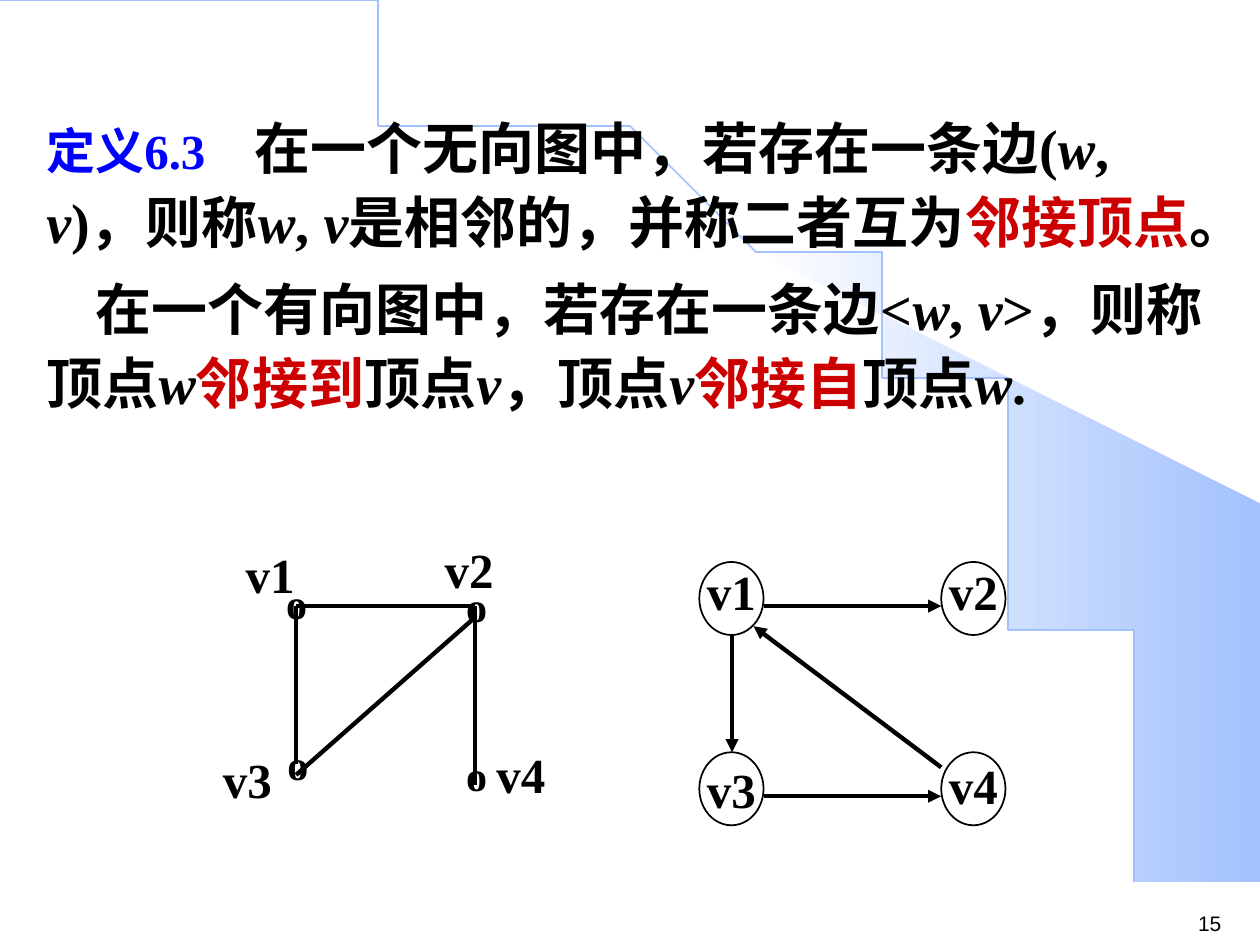
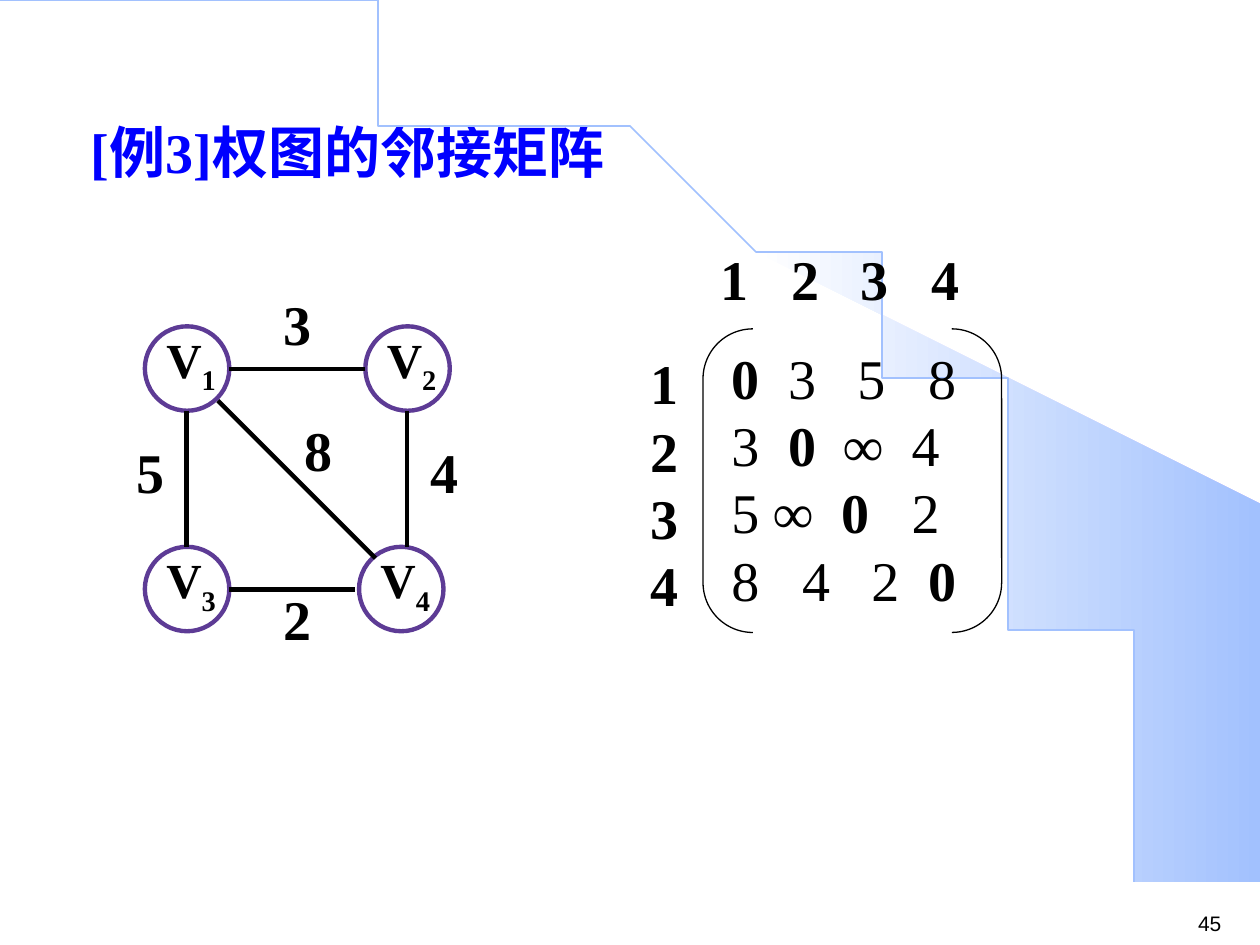
from lxml.etree import SubElement
from pptx import Presentation
from pptx.dml.color import RGBColor
from pptx.enum.shapes import MSO_CONNECTOR, MSO_SHAPE
from pptx.enum.text import MSO_ANCHOR, MSO_AUTO_SIZE, PP_ALIGN
from pptx.oxml.ns import qn
from pptx.util import Inches, Pt

COLORS = {"ink": "000000", "blue": "0000FF", "red": "CC0000",
          "sky": "A2C1FE", "violet": "5D3B95", "white": "FFFFFF"}
SERIF, SANS = "Times New Roman", "Arial"
LINE_FACTOR = 1.2

STYLES = {
    "page": {"name": SANS, "size": Pt(12)},
    "term": {"name": SERIF, "size": Pt(28), "bold": True},
    "dot": {"name": SERIF, "size": Pt(24), "bold": True},
    "strong": {"name": SERIF, "size": Pt(32), "bold": True},
    "plain": {"name": SERIF, "size": Pt(32), "bold": False},
    "variable": {"name": SERIF, "size": Pt(32), "bold": True, "italic": True},
}

ARC = ((0, 0), (5.08, 0), (9.2, 3.35), (9.2, 7.49))
WEDGE_START = 0.44


def rgb(name):
    return RGBColor.from_string(COLORS[name])


def set_all(target, values):
    for key, value in values.items():
        setattr(target, key, value)


def add_run(paragraph, text, style="strong", color="ink"):
    run = paragraph.add_run()
    run.text = text
    set_all(run.font, STYLES[style])
    run.font.color.rgb = rgb(color)
    return run


def set_tabs(paragraph, stops):
    tab_list = SubElement(paragraph._p.get_or_add_pPr(), qn("a:tabLst"))
    for stop in stops:
        SubElement(tab_list, qn("a:tab"), pos=str(Inches(stop)), algn="l")


def prepare_frame(frame, inset=(0, 0)):
    across, down = (Inches(size) for size in inset)
    set_all(frame, {"margin_left": across, "margin_right": across,
                    "margin_top": down, "margin_bottom": down,
                    "word_wrap": True, "auto_size": MSO_AUTO_SIZE.NONE,
                    "vertical_anchor": MSO_ANCHOR.TOP})


def add_frame(slide, box, inset=(0, 0)):
    frame = slide.shapes.add_textbox(*map(Inches, box)).text_frame
    prepare_frame(frame, inset)
    return frame


def each_paragraph(frame, count):
    """Yield count paragraphs, starting with the one the frame already has."""
    yield frame.paragraphs[0]
    for _ in range(count - 1):
        yield frame.add_paragraph()


def add_label(slide, text, box, style="term", subscript="", align=PP_ALIGN.LEFT):
    paragraph = add_frame(slide, box).paragraphs[0]
    size = STYLES[style]["size"].pt
    set_all(paragraph, {"alignment": align, "line_spacing": Pt(size * LINE_FACTOR)})
    add_run(paragraph, text, style)
    if subscript:
        lowered = add_run(paragraph, subscript, style)
        lowered.font._element.set("baseline", "-25000")


def add_node(slide, box, line_color, width, fill=None):
    node = slide.shapes.add_shape(MSO_SHAPE.OVAL, *map(Inches, box))
    node.shadow.inherit = False
    node.line.color.rgb = rgb(line_color)
    node.line.width = Pt(width)
    if fill:
        node.fill.solid()
        node.fill.fore_color.rgb = rgb(fill)
    else:
        node.fill.background()


def add_edge(slide, start, end, arrow=False):
    edge = slide.shapes.add_connector(MSO_CONNECTOR.STRAIGHT, *map(Inches, start + end))
    edge.line.color.rgb = rgb("ink")
    edge.line.width = Pt(2.5)
    if arrow:
        SubElement(edge.line._get_or_add_ln(), qn("a:tailEnd"), type="triangle")
    SubElement(edge._element.spPr, qn("a:effectLst"))


def add_edges(slide, origin, edges, arrow=False):
    left, top = origin
    for x1, y1, x2, y2 in edges:
        add_edge(slide, (left + x1, top + y1), (left + x2, top + y2), arrow)


def arc_points(start, steps=60):
    """Sample the background Bezier curve from parameter start to 1."""
    points = []
    for step in range(steps + 1):
        t = start + (1 - start) * step / steps
        weights = ((1 - t) ** 3, 3 * t * (1 - t) ** 2, 3 * t ** 2 * (1 - t), t ** 3)
        points.append(tuple(sum(w * p[axis] for w, p in zip(weights, ARC))
                            for axis in (0, 1)))
    return points


def add_outline(slide, points, close):
    builder = slide.shapes.build_freeform(*points[0], scale=Inches(1))
    builder.add_line_segments(points[1:], close=close)
    outline = builder.convert_to_shape()
    outline.shadow.inherit = False
    return outline


def add_backdrop(slide, page):
    wedge = add_outline(slide, arc_points(WEDGE_START) + [(9.99, 7.49), (9.99, 4.23)], True)
    wedge.line.fill.background()
    wedge.fill.gradient()
    wedge.fill.gradient_angle = 0
    for stop, color in zip(wedge.fill.gradient_stops, ("white", "sky")):
        stop.color.rgb = rgb(color)

    arc = add_outline(slide, arc_points(0), False)
    arc.fill.background()
    arc.line.color.rgb = rgb("sky")
    arc.line.width = Pt(1)

    number = add_frame(slide, (9.41, 7.18, 0.59, 0.3), (0.1, 0.05))
    add_run(number.paragraphs[0], page, "page")


def add_definition(slide, box):
    w, v = ("w", "variable"), ("v", "variable")
    undirected = [("定义6.3", "term", "blue"), ("\t在一个无向图中，若存在一条边(",), w, (", ",), v,
                  (")，则称",), w, (", ",), v, ("是相邻的，并称二者互为",),
                  ("邻接顶点", "strong", "red"), ("。",)]
    directed = [("在一个有向图中，若存在一条边<",), w, (", ",), v, (">，则称顶点",), w,
                ("邻接到", "strong", "red"), ("顶点",), v, ("，顶点",), v,
                ("邻接自", "strong", "red"), ("顶点",), w, (".",)]
    first, second = each_paragraph(add_frame(slide, box, (0.1, 0.05)), 2)
    set_tabs(first, [1.65])
    second.space_before = Pt(7)
    second._p.get_or_add_pPr().set("indent", str(Inches(0.39)))
    for paragraph, pieces in ((first, undirected), (second, directed)):
        paragraph.line_spacing = Pt(42.3)
        for piece in pieces:
            add_run(paragraph, *piece)


def add_undirected_graph(slide, origin):
    left, top = origin
    for x, y in ((0.5, 0.35), (1.93, 0.38), (1.93, 1.72), (0.51, 1.63)):
        add_label(slide, "o", (left + x, top + y, 0.25, 0.4), "dot")
    add_edges(slide, origin, [(0.58, 0.58, 2, 0.58), (0.58, 0.58, 0.58, 1.83),
                              (0.58, 1.92, 2, 0.67), (2, 0.58, 2, 2)])
    spots = {"v1": (0.18, 0.09), "v2": (1.76, 0.05), "v3": (0, 1.72), "v4": (2.17, 1.68)}
    for name, (x, y) in spots.items():
        add_label(slide, name, (left + x, top + y, 0.47, 0.47))


def add_directed_graph(slide, origin):
    left, top = origin
    drops = {"v1": 0, "v2": 0, "v3": 0.06, "v4": 0.03}
    for index, (name, drop) in enumerate(drops.items()):
        row, column = divmod(index, 2)
        x, y = left + column * 1.92, top + row * 1.51
        add_node(slide, (x, y, 0.51, 0.58), "ink", 1, "white")
        add_label(slide, name, (x, y + drop, 0.51, 0.47), align=PP_ALIGN.CENTER)
    add_edges(slide, origin, [(0.51, 0.35, 1.92, 0.35), (0.26, 0.58, 0.26, 1.51),
                              (0.51, 1.86, 1.92, 1.86), (1.92, 1.63, 0.43, 0.51)], True)


def add_heading(slide, text, box):
    title = slide.shapes.title
    set_all(title, dict(zip(("left", "top", "width", "height"), map(Inches, box))))
    prepare_frame(title.text_frame, (0.1, 0.05))
    paragraph = title.text_frame.paragraphs[0]
    set_all(paragraph, {"alignment": PP_ALIGN.LEFT, "line_spacing": Pt(34.3)})
    properties = paragraph._p.get_or_add_pPr()
    properties.set("marL", str(Inches(0.38)))
    properties.set("indent", str(Inches(-0.27)))
    add_run(paragraph, text, "strong", "blue")


def add_weighted_graph(slide, origin):
    left, top = origin
    nodes = {"1": (0, 0), "2": (1.75, 0), "3": (0, 1.75), "4": (1.7, 1.75)}
    for number, (x, y) in nodes.items():
        add_label(slide, "V", (left + x + 0.17, top + y + 0.09, 0.5, 0.6), subscript=number)
        add_node(slide, (left + x, top + y, 0.67, 0.67), "violet", 2.5)
    add_edges(slide, origin, [(0.67, 0.34, 1.75, 0.34), (2.08, 0.67, 2.08, 1.75),
                              (0.67, 2.09, 1.67, 2.09), (0.33, 0.67, 0.33, 1.75),
                              (0.58, 0.59, 1.83, 1.84)])
    weights = {"3": (1.1, -0.29), "5": (-0.07, 0.88), "2": (1.1, 2.05),
               "8": (1.27, 0.71), "4": (2.27, 0.88)}
    for weight, (x, y) in weights.items():
        add_label(slide, weight, (left + x, top + y, 0.25, 0.53), "strong")


def add_matrix(slide, box):
    left, top, width, height = box
    indices = "1234"
    rows = {"0358": (0.11, 0.56, 1.11, 1.67), "30∞4": (0.11, 0.56, 1, 1.54),
            "5∞02": (0.11, 0.44, 0.98, 1.54), "8420": (0.11, 0.67, 1.22, 1.67)}
    spacing = Pt(STYLES["strong"]["size"].pt * LINE_FACTOR)

    row_labels = add_frame(slide, (left - 0.58, top + 0.16, 0.55, 2.3))
    for paragraph, index in zip(each_paragraph(row_labels, len(indices)), indices):
        set_all(paragraph, {"alignment": PP_ALIGN.CENTER, "line_spacing": spacing})
        add_run(paragraph, index)

    brackets = slide.shapes.add_shape(MSO_SHAPE.DOUBLE_BRACKET,
                                      *map(Inches, (left, top, width, height)))
    brackets.adjustments[0] = 0.167
    brackets.shadow.inherit = False
    brackets.fill.background()
    brackets.line.color.rgb = rgb("ink")
    brackets.line.width = Pt(0.75)
    prepare_frame(brackets.text_frame)
    paragraphs = each_paragraph(brackets.text_frame, len(rows))
    for paragraph, (cells, stops) in zip(paragraphs, rows.items()):
        set_all(paragraph, {"alignment": PP_ALIGN.LEFT, "line_spacing": spacing})
        set_tabs(paragraph, stops)
        for cell in cells:
            add_run(paragraph, "\t" + cell, "strong" if cell in "0∞" else "plain")

    header = add_frame(slide, (left + 0.14, top - 0.67, 2.08, 0.69)).paragraphs[0]
    header.line_spacing = spacing
    set_tabs(header, (0.56, 1.11, 1.67))
    add_run(header, "\t".join(indices))


def build_adjacency_slide(prs):
    slide = prs.slides.add_slide(prs.slide_layouts[6])
    add_backdrop(slide, "15")
    add_definition(slide, (0.27, 0.8, 9.45, 3.35))
    add_directed_graph(slide, (5.55, 4.46))
    add_undirected_graph(slide, (1.77, 4.23))


def build_matrix_slide(prs):
    slide = prs.slides.add_slide(prs.slide_layouts[5])
    add_backdrop(slide, "45")
    add_heading(slide, "[例3]权图的邻接矩阵", (0.51, 0.94, 4.53, 0.55))
    add_matrix(slide, (5.58, 2.61, 2.37, 2.41))
    add_weighted_graph(slide, (1.15, 2.59))


def main():
    prs = Presentation()
    prs.slide_width, prs.slide_height = Inches(10), Inches(7.5)
    build_adjacency_slide(prs)
    build_matrix_slide(prs)
    prs.save("out.pptx")


if __name__ == "__main__":
    main()
